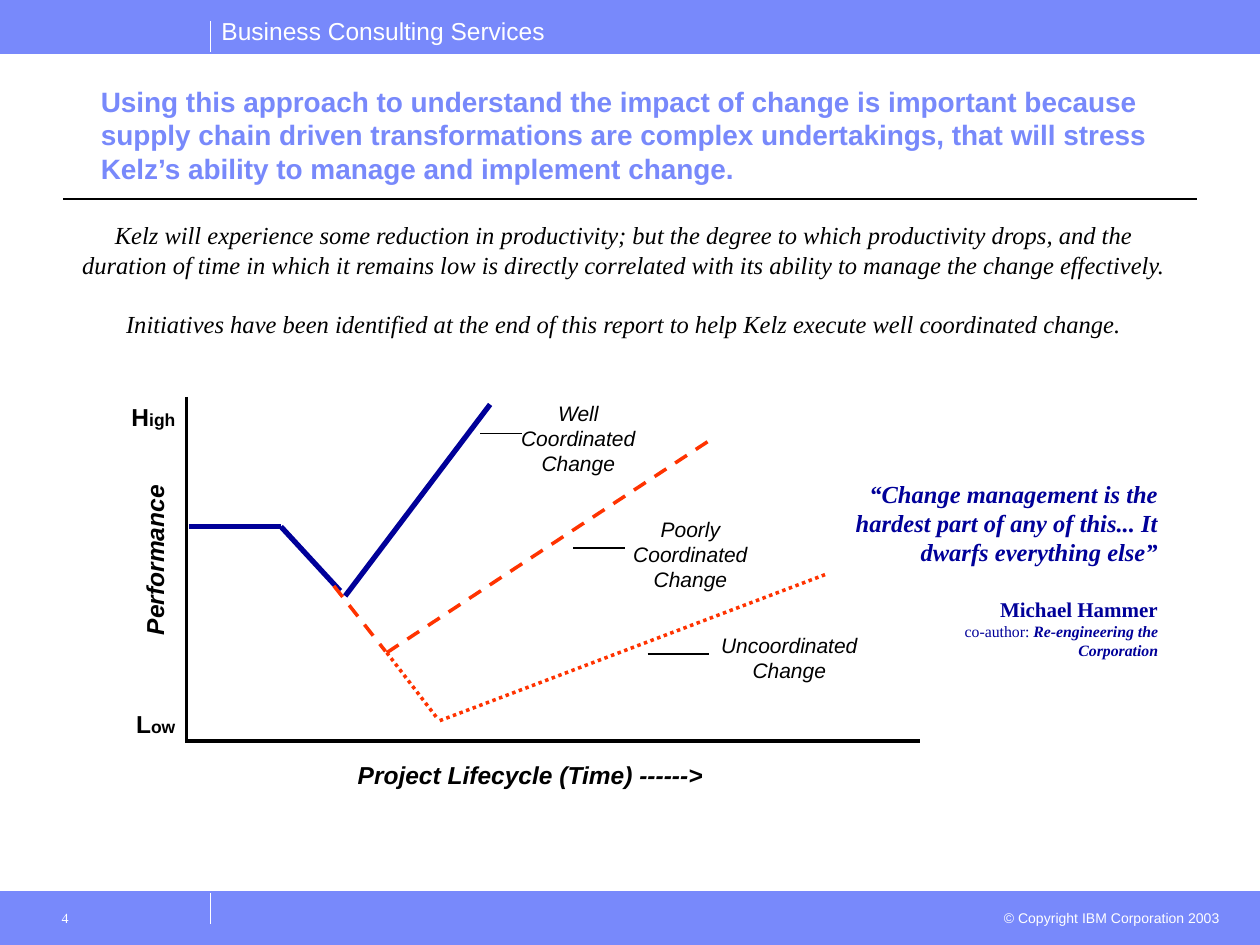
from dataclasses import dataclass
from typing import Optional

from lxml import etree
from pptx import Presentation
from pptx.dml.color import RGBColor
from pptx.enum import dml, shapes, text
from pptx.oxml import ns
from pptx.util import Inches, Pt

WHITE = RGBColor(0xFF, 0xFF, 0xFF)
BLACK = RGBColor(0, 0, 0)
PERIWINKLE = RGBColor(0x78, 0x89, 0xFB)
NAVY = RGBColor(0, 0, 0x99)
ORANGE = RGBColor(0xFF, 0x33, 0)
SANS, SERIF = "Arial", "Times New Roman"
LEFT, CENTER, RIGHT = text.PP_ALIGN.LEFT, text.PP_ALIGN.CENTER, text.PP_ALIGN.RIGHT
DASH, DOT = dml.MSO_LINE.DASH, dml.MSO_LINE.ROUND_DOT


@dataclass
class Line:
    x1: float
    y1: float
    x2: float
    y2: float
    color: RGBColor = BLACK
    width: float = 1
    dash: Optional[dml.MSO_LINE] = None


@dataclass
class Run:
    words: str
    size: float
    bold: bool = False
    italic: bool = False


@dataclass
class Para:
    runs: list[Run]
    before: float = 0
    indent: float = 0


FRAME_LINES = [
    Line(1.67, 0.42, 1.67, 0.17, WHITE, 0.75),
    Line(1.67, 7.33, 1.67, 7.08, WHITE, 0.75),
    Line(0, 0.42, 10, 0.42, PERIWINKLE, 0.5),
    Line(0, 7.08, 10, 7.08, PERIWINKLE, 0.5),
    Line(0.5, 1.58, 9.5, 1.58, BLACK, 0.75),
]
AXES = [Line(1.48, 3.15, 1.48, 5.9, BLACK, 2), Line(1.49, 5.88, 7.3, 5.88, BLACK, 2)]
WELL_COORDINATED = [
    Line(1.5, 4.18, 2.23, 4.18, NAVY, 3),
    Line(2.23, 4.18, 2.7, 4.69, NAVY, 3),
    Line(2.74, 4.73, 3.89, 3.21, NAVY, 3),
]
POORLY_COORDINATED = [
    Line(2.65, 4.65, 3.06, 5.17, ORANGE, 2, DASH),
    Line(3.07, 5.18, 5.64, 3.49, ORANGE, 2, DASH),
]
UNCOORDINATED = [
    Line(3.07, 5.18, 3.47, 5.7, ORANGE, 2, DOT),
    Line(3.49, 5.72, 6.55, 4.56, ORANGE, 2, DOT),
]
LEADERS = [
    Line(3.81, 3.44, 4.14, 3.44),
    Line(4.55, 4.35, 4.96, 4.35),
    Line(5.14, 5.19, 5.63, 5.19),
]
CURVE_LABELS = [
    ((3.97, 3.13, 1.24, 0.7), ["Well", "Coordinated Change"]),
    ((4.81, 4.05, 1.34, 0.7), ["Poorly", "Coordinated Change"]),
    ((5.55, 4.97, 1.43, 0.5), ["Uncoordinated Change"]),
]
AXIS_TITLES = [
    ((0.53, 4.28, 1.39, 0.33), "Performance", 270),
    ((2.74, 5.98, 2.95, 0.33), "Project Lifecycle (Time) ------>", 0),
]
AXIS_ENDS = [((0.94, 3.14, 0.55, 0.33), "High"), ((0.98, 5.58, 0.51, 0.33), "Low")]


def draw_band(slide, top: float) -> None:
    band = slide.shapes.add_shape(
        shapes.MSO_SHAPE.RECTANGLE, 0, Inches(top), Inches(10), Inches(0.42))
    band.shadow.inherit = False
    band.fill.solid()
    band.fill.fore_color.rgb = PERIWINKLE
    band.line.color.rgb = PERIWINKLE
    band.line.width = Pt(0.75)


def draw_line(slide, line: Line) -> None:
    ends = (Inches(v) for v in (line.x1, line.y1, line.x2, line.y2))
    connector = slide.shapes.add_connector(shapes.MSO_CONNECTOR.STRAIGHT, *ends)
    connector.line.color.rgb = line.color
    connector.line.width = Pt(line.width)
    if line.dash is not None:
        connector.line.dash_style = line.dash
    etree.SubElement(connector.element.spPr, ns.qn("a:effectLst"))


def write_text(slide, at, paras: list[Para], *, font=SANS, color=BLACK, align=LEFT,
               wrap=True, rotation=0, inset=(0.1, 0.05), holder=None) -> None:
    """Fill the given placeholder, or a new text box, placed at left, top, width, height."""
    box = holder or slide.shapes.add_textbox(0, 0, 0, 0)
    box.left, box.top, box.width, box.height = (Inches(v) for v in at)
    box.rotation = rotation
    frame = box.text_frame
    frame.word_wrap = wrap
    frame.auto_size = text.MSO_AUTO_SIZE.NONE
    frame.vertical_anchor = text.MSO_ANCHOR.TOP
    frame.margin_left, frame.margin_top = (Inches(v) for v in inset)
    frame.margin_right, frame.margin_bottom = Inches(0.1), Inches(0.05)
    for index, para in enumerate(paras):
        paragraph = frame.add_paragraph() if index else frame.paragraphs[0]
        paragraph.alignment = align
        if para.before:
            paragraph.space_before = Pt(para.before)
        if para.indent:
            paragraph._p.get_or_add_pPr().set("marL", str(Inches(para.indent)))
        for part in para.runs:
            run = paragraph.add_run()
            run.text = part.words
            run.font.name = font
            run.font.size = Pt(part.size)
            run.font.bold = part.bold
            run.font.italic = part.italic
            run.font.color.rgb = color


def draw_frame(slide) -> None:
    for top in (7.08, 0):
        draw_band(slide, top)
    for line in FRAME_LINES:
        draw_line(slide, line)
    write_text(slide, (1.66, 0.08, 2.77, 0.34),
               [Para([Run("Business Consulting Services", 14)])], color=WHITE, wrap=False)
    write_text(slide, (7.83, 7.17, 1.95, 0.24),
               [Para([Run("© Copyright IBM Corporation 2003", 8)])],
               color=WHITE, align=RIGHT)
    write_text(slide, (0.33, 7.15, 1.33, 0.35), [Para([Run("4", 8)])],
               font=SERIF, color=WHITE, inset=(0.16, 0.07))


def draw_messages(slide) -> None:
    write_text(slide, (0.7, 0.62, 8.65, 1.08), [Para([Run(
        "Using this approach to understand the impact of change is important because "
        "supply chain driven transformations are complex undertakings, that will stress "
        "Kelz’s ability to manage and implement change.", 16, bold=True)])],
        color=PERIWINKLE, holder=slide.shapes.title)
    write_text(slide, (0.47, 1.7, 8.97, 1.04), [
        Para([Run(
            "Kelz will experience some reduction in productivity; but the degree to which "
            "productivity drops, and the duration of time in which it remains low is directly "
            "correlated with its ability to manage the change effectively.", 14, italic=True)]),
        Para([Run(
            "Initiatives have been identified at the end of this report to help Kelz execute "
            "well coordinated change.", 14, italic=True)], before=17),
    ], font=SERIF, align=CENTER)
    write_text(slide, (6.33, 3.75, 2.96, 1.53), [
        Para([Run("“Change management is the hardest part of any of this... "
                  "It dwarfs everything else”", 14, bold=True, italic=True)]),
        Para([Run("Michael Hammer", 12, bold=True)], before=17),
        Para([Run("co-author: ", 9),
              Run("Re-engineering the Corporation", 9, bold=True, italic=True)], indent=0.85),
    ], font=SERIF, color=NAVY, align=RIGHT)


def draw_performance_graph(slide) -> None:
    for line in AXES + WELL_COORDINATED + POORLY_COORDINATED + UNCOORDINATED + LEADERS:
        draw_line(slide, line)
    for at, label in CURVE_LABELS:
        write_text(slide, at, [Para([Run(words, 12, italic=True)]) for words in label],
                   align=CENTER)
    for at, words, rotation in AXIS_TITLES:
        write_text(slide, at, [Para([Run(words, 14, bold=True, italic=True)])],
                   wrap=False, rotation=rotation)
    for at, word in AXIS_ENDS:
        write_text(slide, at, [Para([Run(word[0], 14, bold=True), Run(word[1:], 10, bold=True)])],
                   align=RIGHT, wrap=False)


def main() -> None:
    deck = Presentation()
    deck.slide_width, deck.slide_height = Inches(10), Inches(7.5)
    slide = deck.slides.add_slide(deck.slide_layouts[5])
    draw_frame(slide)
    draw_messages(slide)
    draw_performance_graph(slide)
    deck.save("out.pptx")


if __name__ == "__main__":
    main()
